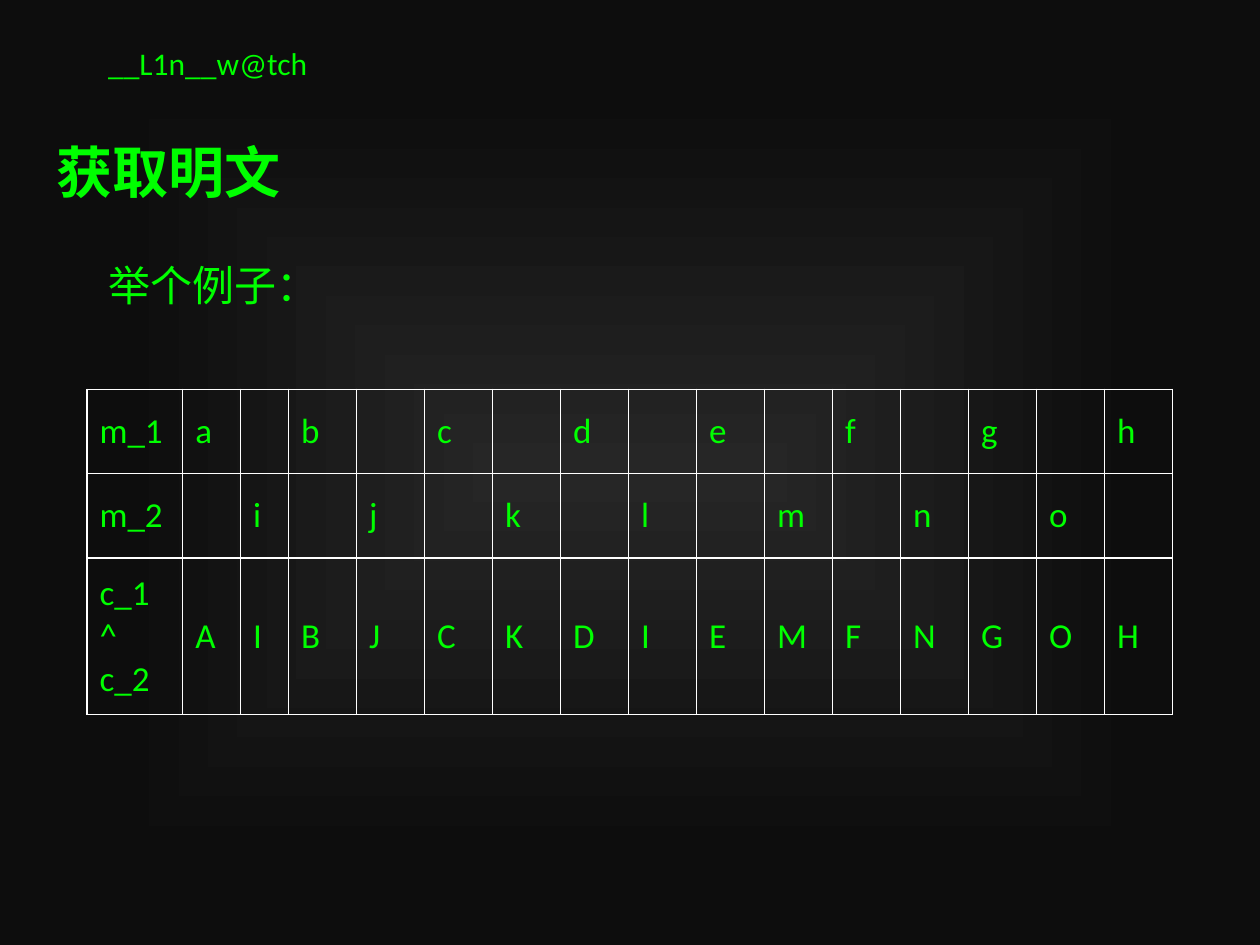
from dataclasses import dataclass

from pptx import Presentation
from pptx.dml.color import RGBColor
from pptx.enum.text import MSO_ANCHOR, MSO_AUTO_SIZE, PP_ALIGN
from pptx.oxml import parse_xml
from pptx.oxml.ns import nsdecls, qn
from pptx.util import Inches, Pt

GREEN = RGBColor(0x00, 0xFF, 0x00)
WHITE = RGBColor(0xFF, 0xFF, 0xFF)
GLOW = RGBColor(0x26, 0x26, 0x26)
DARK = RGBColor(0x0D, 0x0D, 0x0D)


@dataclass
class Label:
    text: str
    left: float
    top: float
    width: float
    height: float
    size: int
    font: str = "Calibri"
    bold: bool = False
    wrap: bool = False


@dataclass
class Row:
    head: str
    letters: list
    height: float


def style(p, size: int, font: str, bold: bool, align) -> None:
    p.alignment = align
    p.font.size, p.font.name, p.font.bold = Pt(size), font, bold
    p.font.color.rgb = GREEN


def fill_label(sp, label: Label) -> None:
    sp.left, sp.top = Inches(label.left), Inches(label.top)
    sp.width, sp.height = Inches(label.width), Inches(label.height)
    tf = sp.text_frame
    tf.text = label.text
    tf.word_wrap = label.wrap
    tf.auto_size = MSO_AUTO_SIZE.SHAPE_TO_FIT_TEXT
    tf.vertical_anchor = MSO_ANCHOR.TOP
    p = tf.paragraphs[0]
    p.space_before = Pt(0)
    style(p, label.size, label.font, label.bold, PP_ALIGN.LEFT)


def add_borders(cell) -> None:
    pr = cell._tc.get_or_add_tcPr()
    for i, side in enumerate(("lnL", "lnR", "lnT", "lnB")):
        pr.insert(i, parse_xml(
            f'<a:{side} {nsdecls("a")} w="{Pt(1)}"><a:solidFill>'
            f'<a:srgbClr val="{WHITE}"/></a:solidFill></a:{side}>'))


def add_letter_table(s, left: float, top: float, widths: list, rows: list) -> None:
    frame = s.shapes.add_table(
        len(rows), len(widths), Inches(left), Inches(top),
        Inches(sum(widths)), Inches(sum(row.height for row in rows)))
    table = frame.table
    table.first_row = table.horz_banding = False
    for col, width in zip(table.columns, widths):
        col.width = Inches(width)
    for i, row in enumerate(rows):
        table.rows[i].height = Inches(row.height)
        for j, text in enumerate([row.head, *row.letters]):
            cell = table.cell(i, j)
            cell.fill.background()
            add_borders(cell)
            cell.vertical_anchor = MSO_ANCHOR.MIDDLE
            cell.text = text
            style(cell.text_frame.paragraphs[0], 20, "Calibri", False, PP_ALIGN.JUSTIFY)


prs = Presentation()
prs.slide_width, prs.slide_height = Inches(10), Inches(7.5)
s = prs.slides.add_slide(prs.slide_layouts[1])

# Background glow from the centre
fill = s.background.fill
fill.gradient()
for stop, color, position in zip(fill.gradient_stops, (GLOW, DARK), (0, 0.81)):
    stop.color.rgb, stop.position = color, position
lin = next(s.element.iter(qn("a:lin")))
lin.getparent().replace(lin, parse_xml(
    f'<a:path {nsdecls("a")} path="shape">'
    '<a:fillToRect l="50000" t="50000" r="50000" b="50000"/></a:path>'))

# Header, title and lead-in
header = s.shapes.add_textbox(0, 0, 0, 0)
fill_label(header, Label("__L1n__w@tch", 0.76, 0.3, 1.8, 0.4, 18))
fill_label(s.shapes.title, Label("获取明文", 0.35, 1.04, 2, 0.64, 32, "Arial", bold=True))
body = s.placeholders[1]
fill_label(body, Label("举个例子：", 0.76, 2.01, 8.88, 0.5, 24, wrap=True))
pPr = body.text_frame.paragraphs[0]._p.get_or_add_pPr()
pPr.set("marL", "0")
pPr.set("indent", "0")
pPr.find(qn("a:spcBef")).addnext(parse_xml(f'<a:buNone {nsdecls("a")}/>'))

# Interleaved messages and the combined ciphertext
columns = 15
first, second = [""] * columns, [""] * columns
first[::2] = "abcdefgh"
second[1::2] = "ijklmno"
rows = [
    Row("m_1", first, 0.67),
    Row("m_2", second, 0.67),
    Row("c_1 ^ c_2", list("AIBJCKDIEMFNGOH"), 1.24),
]
add_letter_table(s, 0.69, 3.09, [0.76, 0.46, 0.38] + [0.54] * (columns - 2), rows)

prs.save("out.pptx")
